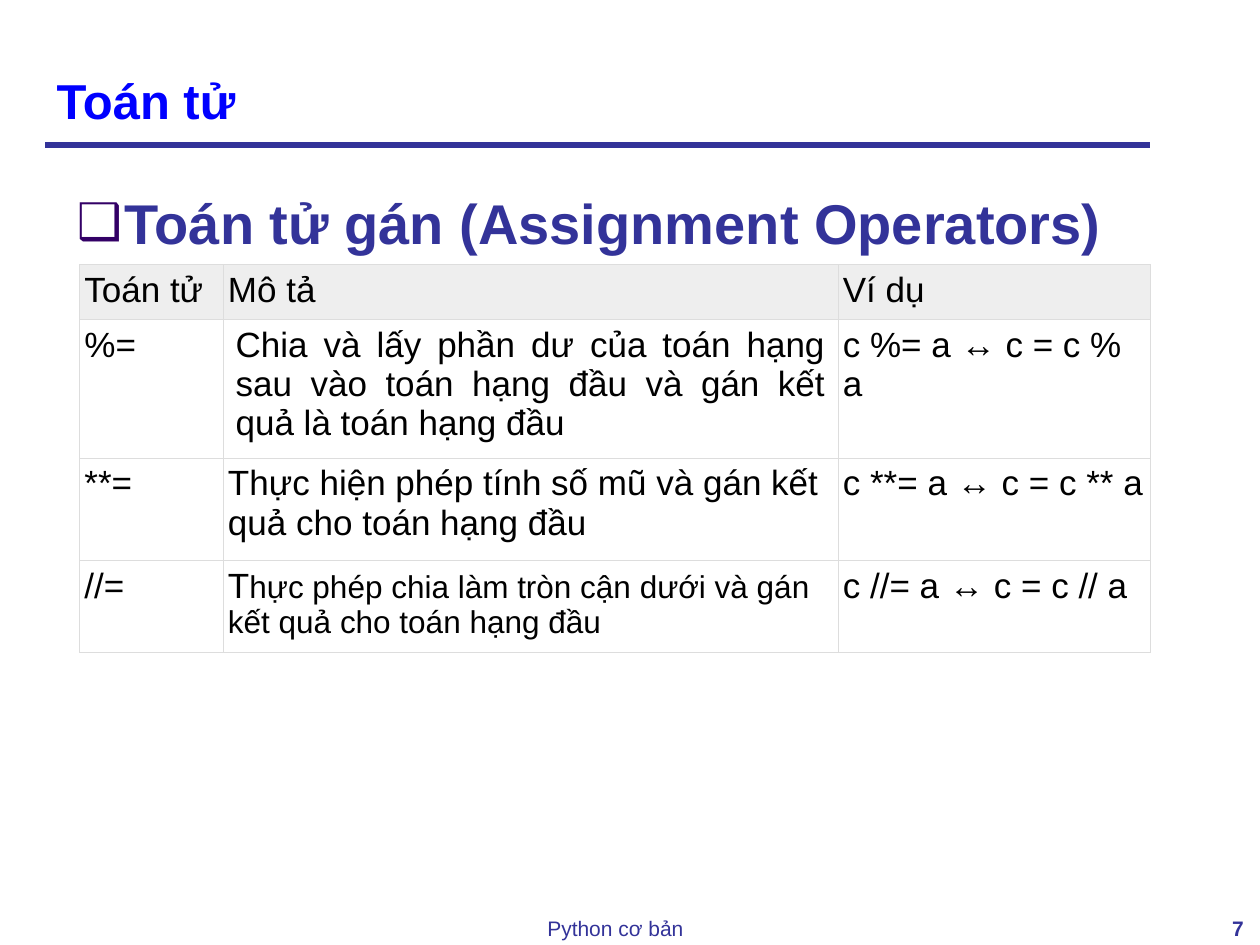
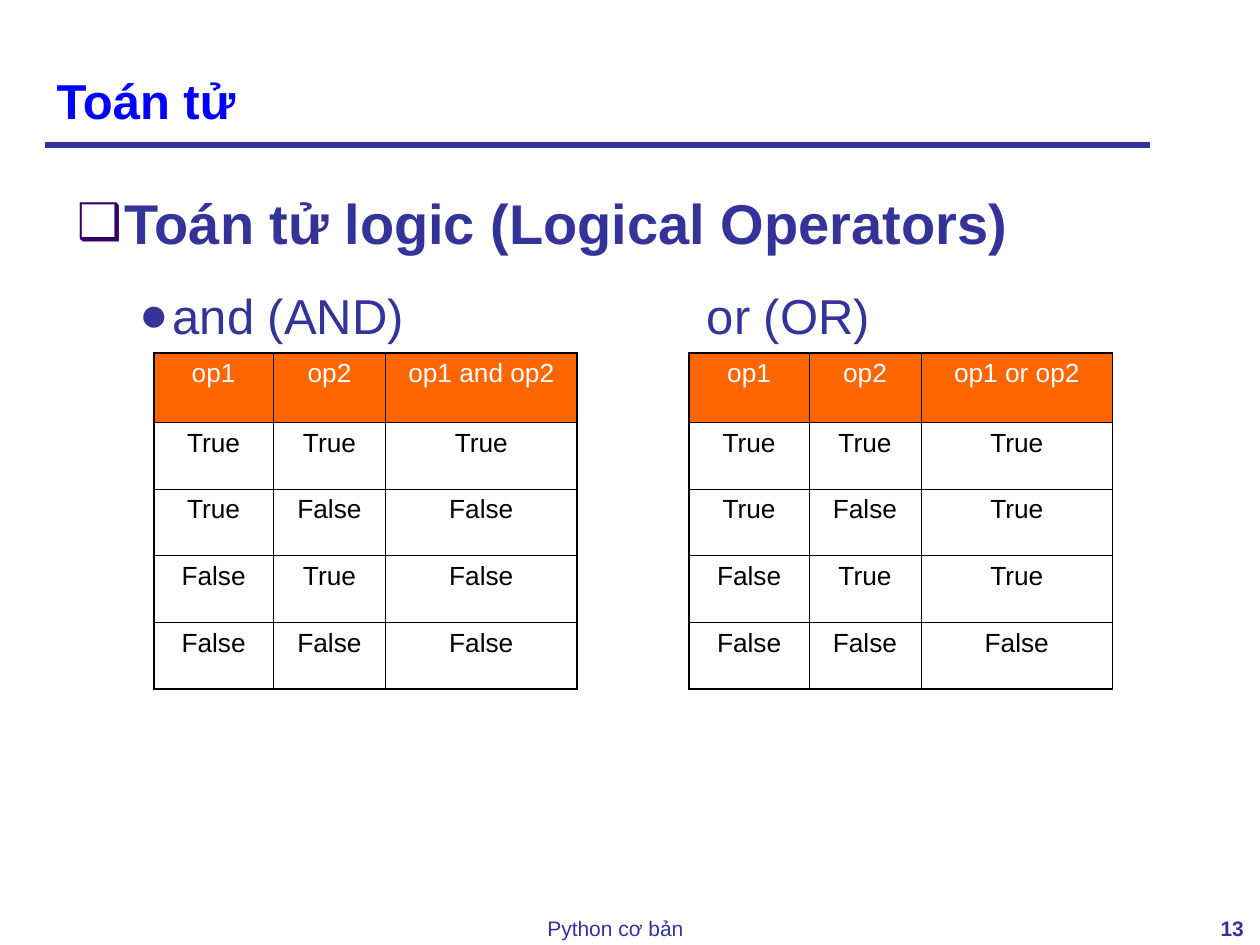
from dataclasses import dataclass
from typing import NamedTuple

from lxml import etree
from pptx import Presentation
from pptx import util as u
from pptx.dml.color import RGBColor
from pptx.enum import shapes, text
from pptx.oxml import ns

# Shared style
FONT = "Arial"
NAVY, TITLE_BLUE, BULLET_PURPLE = "333399", "0000FF", "330066"
BLACK, WHITE, ORANGE = "000000", "FFFFFF", "FF6600"
HEADER_GREY, GRID_GREY = "EEEEEE", "DDDDDD"
FOOTER = "Python cơ bản"
ALIGN = text.PP_ALIGN


class Box(NamedTuple):
    left: float
    top: float
    width: float
    height: float


class Run(NamedTuple):
    words: str
    size: float
    bold: bool = False
    color: str = BLACK


class Cell(NamedTuple):
    runs: list[Run]
    align: ALIGN = ALIGN.LEFT
    side_inset: float = 0.1


@dataclass
class Bullet:
    run: Run
    level: int
    left: float
    hanging: float
    space_before: float
    mark: str
    mark_color: str
    mark_percent: int = 100


@dataclass
class Grid:
    left: float
    top: float
    columns: list[float]
    rows: list[float]
    cells: list[list[Cell]]
    header_fill: str
    border: str
    inner_width: float
    outer_width: float
    space_before: float = 0


def rgb(color: str) -> RGBColor:
    return RGBColor.from_string(color)


def place(shape, box: Box) -> None:
    shape.left, shape.top, shape.width, shape.height = map(u.Inches, box)


def add_run(paragraph, run: Run) -> None:
    part = paragraph.add_run()
    part.text = run.words
    part.font.name, part.font.size, part.font.bold = FONT, u.Pt(run.size), run.bold
    part.font.color.rgb = rgb(run.color)


def child(parent, tag: str, **attributes):
    return etree.SubElement(parent, ns.qn(tag), {k: str(v) for k, v in attributes.items()})


# Frame: title, rule, footer and page number
def add_title(slide, words: str) -> None:
    title = slide.shapes.title
    place(title, Box(0.35, 0.21, 8.66, 0.87))
    frame = title.text_frame
    frame.auto_size = text.MSO_AUTO_SIZE.NONE
    frame.vertical_anchor = text.MSO_ANCHOR.BOTTOM
    frame.paragraphs[0].alignment = ALIGN.LEFT
    add_run(frame.paragraphs[0], Run(words, 28, True, TITLE_BLUE))


def add_rule(slide) -> None:
    y = u.Inches(1.15)
    rule = slide.shapes.add_connector(
        shapes.MSO_CONNECTOR.STRAIGHT, u.Inches(0.36), y, u.Inches(9.13), y)
    rule.line.color.rgb, rule.line.width = rgb(NAVY), u.Pt(3)
    child(rule._element.spPr, "a:effectLst")


def add_note(slide, box: Box, run: Run, align: ALIGN) -> None:
    note = slide.shapes.add_textbox(*map(u.Inches, box))
    note.text_frame.word_wrap = True
    paragraph = note.text_frame.paragraphs[0]
    paragraph.alignment = align
    add_run(paragraph, run)


def add_frame(deck, title: str, page: int):
    slide = deck.slides.add_slide(deck.slide_layouts[1])
    add_rule(slide)
    add_title(slide, title)
    add_note(slide, Box(0.75, 7.22, 8.27, 0.24), Run(FOOTER, 12, color=NAVY), ALIGN.CENTER)
    add_note(slide, Box(9.18, 7.22, 0.79, 0.24), Run(str(page), 12, True, NAVY), ALIGN.RIGHT)
    return slide


# Bulleted headings
def format_bullet(paragraph, bullet: Bullet) -> None:
    paragraph.level = bullet.level
    paragraph.alignment = ALIGN.LEFT
    paragraph.line_spacing = 1.25
    paragraph.space_before = u.Pt(bullet.space_before)
    props = paragraph._p.get_or_add_pPr()
    props.set("marL", str(u.Inches(bullet.left)))
    props.set("indent", str(-u.Inches(bullet.hanging)))
    child(child(props, "a:buClr"), "a:srgbClr", val=bullet.mark_color)
    child(props, "a:buSzPct", val=bullet.mark_percent * 1000)
    child(props, "a:buFont", typeface=FONT)
    child(props, "a:buChar", char=bullet.mark)
    stops = child(props, "a:tabLst")
    for inch in range(1, 9):
        child(stops, "a:tab", pos=u.Inches(inch), algn="l")


def add_bullets(slide, width: float, bullets: list[Bullet]) -> None:
    body = slide.placeholders[1]
    place(body, Box(0.51, 1.31, width, 5.67))
    frame = body.text_frame
    frame.auto_size = text.MSO_AUTO_SIZE.NONE
    for index, bullet in enumerate(bullets):
        paragraph = frame.add_paragraph() if index else frame.paragraphs[0]
        format_bullet(paragraph, bullet)
        add_run(paragraph, bullet.run)


def heading(words: str) -> Bullet:
    return Bullet(Run(words, 32, True, NAVY), 0, 0.38, 0.38, 0, "❑", BULLET_PURPLE, 90)


# Tables
def set_borders(cell, color: str, widths: dict[str, float]) -> None:
    props = cell._tc.get_or_add_tcPr()
    for index, (side, width) in enumerate(widths.items()):
        line = child(props, f"a:ln{side}", w=u.Pt(width))
        child(child(line, "a:solidFill"), "a:srgbClr", val=color)
        props.insert(index, line)


def fill_cell(cell, content: Cell, space_before: float) -> None:
    cell.margin_left = cell.margin_right = u.Inches(content.side_inset)
    paragraph = cell.text_frame.paragraphs[0]
    paragraph.alignment = content.align
    paragraph.space_before = u.Pt(space_before)
    for run in content.runs:
        add_run(paragraph, run)


def add_grid(slide, grid: Grid) -> None:
    box = Box(grid.left, grid.top, sum(grid.columns), sum(grid.rows))
    last_row, last_column = len(grid.rows) - 1, len(grid.columns) - 1
    table = slide.shapes.add_table(
        last_row + 1, last_column + 1, *map(u.Inches, box)).table
    table.first_row = table.horz_banding = False
    for column, width in zip(table.columns, grid.columns):
        column.width = u.Inches(width)
    for row, height in zip(table.rows, grid.rows):
        row.height = u.Inches(height)
    for r, contents in enumerate(grid.cells):
        for c, content in enumerate(contents):
            cell = table.cell(r, c)
            fill_cell(cell, content, grid.space_before)
            if r == 0:
                cell.fill.solid()
                cell.fill.fore_color.rgb = rgb(grid.header_fill)
            else:
                cell.fill.background()
            outer = {"L": c == 0, "R": c == last_column, "T": r == 0, "B": r == last_row}
            set_borders(cell, grid.border, {
                side: grid.outer_width if edge else grid.inner_width
                for side, edge in outer.items()})


# Slide: assignment operators
def plain(words: str) -> Cell:
    return Cell([Run(words, 20)], side_inset=0.04)


def equivalence(short: str, arrow: str, full: str) -> Cell:
    return Cell([Run(short, 20), Run(arrow, 20, True), Run(full, 20)], side_inset=0.04)


def assignment_slide(deck) -> None:
    slide = add_frame(deck, "Toán tử", 7)
    add_bullets(slide, 8.66, [heading("Toán tử gán (Assignment Operators)")])
    modulo = Cell([Run("Chia và lấy phần dư của toán hạng sau vào toán hạng đầu "
                       "và gán kết quả là toán hạng đầu", 20)], ALIGN.JUSTIFY)
    floor_division = Cell([Run("T", 20), Run(
        "hực phép chia làm tròn cận dưới và gán kết quả cho toán hạng đầu", 18)],
        side_inset=0.04)
    cells = [
        [plain("Toán tử"), plain("Mô tả"), plain("Ví dụ")],
        [plain("%="), modulo, equivalence("c %= a ", "↔ ", "c = c % a")],
        [plain("**="),
         plain("Thực hiện phép tính số mũ và gán kết quả cho toán hạng đầu"),
         equivalence("c **= a ", "↔", " c = c ** a")],
        [plain("//="), floor_division, equivalence("c //= a ", "↔", " c = c // a")],
    ]
    add_grid(slide, Grid(0.63, 2.1, [1.14, 4.88, 2.48], [0.41, 1.1, 0.81, 0.71],
                         cells, HEADER_GREY, GRID_GREY, 0.34, 0.34))


# Slide: logical operators
def truth_table(left: float, operator: str, results: list[bool]) -> Grid:
    operands = [(a, b) for a in (True, False) for b in (True, False)]
    values = [("op1", "op2", f"op1 {operator} op2")]
    values += [(*pair, result) for pair, result in zip(operands, results)]
    cells = [[Cell([Run(str(value), 15, color=BLACK if r else WHITE)], ALIGN.CENTER)
              for value in row] for r, row in enumerate(values)]
    return Grid(left, 2.8, [0.95, 0.89, 1.52], [0.55] + [0.53] * len(operands),
                cells, ORANGE, BLACK, 0.45, 1.08, 3.7)


def logic_slide(deck) -> None:
    slide = add_frame(deck, "Toán tử", 13)
    add_bullets(slide, 9.49, [
        heading("Toán tử logic (Logical Operators)"),
        Bullet(Run("and (AND)\t\t\tor (OR)", 28, color=NAVY), 1, 0.76, 0.26, 8.8, "●", NAVY),
    ])
    add_grid(slide, truth_table(1.22, "and", [True, False, False, False]))
    add_grid(slide, truth_table(5.47, "or", [True, True, True, False]))


def main() -> None:
    deck = Presentation()
    deck.slide_width, deck.slide_height = u.Inches(10), u.Inches(7.5)
    assignment_slide(deck)
    logic_slide(deck)
    deck.save("out.pptx")


if __name__ == "__main__":
    main()
